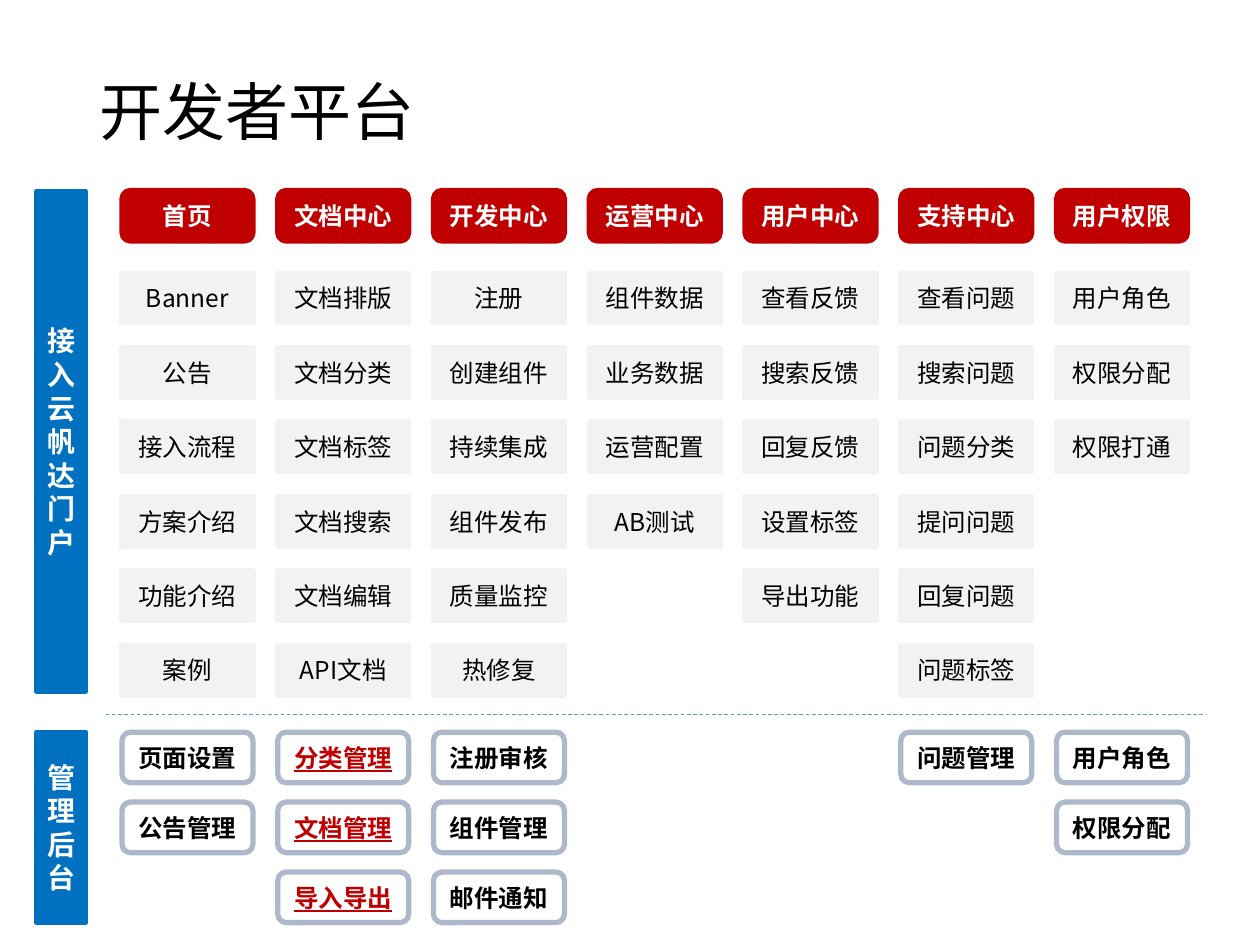
from lxml.etree import SubElement
from pptx import Presentation
from pptx.dml.color import RGBColor
from pptx.enum.dml import MSO_LINE
from pptx.enum.shapes import MSO_CONNECTOR, MSO_SHAPE
from pptx.enum.text import MSO_ANCHOR, PP_ALIGN
from pptx.oxml.ns import qn
from pptx.util import Cm, Pt

COLORS = {
    "red": "C00000",
    "blue": "0070C0",
    "gray": "F2F2F2",
    "border": "ADB9CA",
    "divider": "5B9BD5",
    "white": "FFFFFF",
    "black": "000000",
}
FONT = "Noto Sans CJK SC"
LEFT, PITCH, WIDTH = 2.46, 3.14, 2.64
FEATURE_TOP, FEATURE_PITCH = 5.51, 1.5
ADMIN_TOP, ADMIN_PITCH = 14.76, 1.41

MODULES = [
    ("首页", ["Banner", "公告", "接入流程", "方案介绍", "功能介绍", "案例"],
     ["页面设置", "公告管理"]),
    ("文档中心", ["文档排版", "文档分类", "文档标签", "文档搜索", "文档编辑", "API文档"],
     ["分类管理", "文档管理", "导入导出"]),
    ("开发中心", ["注册", "创建组件", "持续集成", "组件发布", "质量监控", "热修复"],
     ["注册审核", "组件管理", "邮件通知"]),
    ("运营中心", ["组件数据", "业务数据", "运营配置", "AB测试"], []),
    ("用户中心", ["查看反馈", "搜索反馈", "回复反馈", "设置标签", "导出功能"], []),
    ("支持中心", ["查看问题", "搜索问题", "问题分类", "提问问题", "回复问题", "问题标签"],
     ["问题管理"]),
    ("用户权限", ["用户角色", "权限分配", "权限打通"], ["用户角色", "权限分配"]),
]
HIGHLIGHTED = "文档中心"


def rgb(name):
    """Return the named palette colour."""
    return RGBColor.from_string(COLORS[name])


class Board:
    """Draw the platform map in one style on the current slide."""

    def __init__(self, slide):
        """Keep the slide to draw on."""
        self.s = slide

    def label(self, tf, lines, size, color="black", bold=False, underline=None,
              align=PP_ALIGN.CENTER, font=FONT):
        """Fill a text frame with one paragraph per line."""
        tf.word_wrap = True
        tf.vertical_anchor = MSO_ANCHOR.MIDDLE
        for i, text in enumerate(lines):
            p = tf.add_paragraph() if i else tf.paragraphs[0]
            p.alignment = align
            p.add_run().text = text
            p.font.name = font
            p.font.size = Pt(size)
            p.font.bold = bold
            p.font.underline = underline
            p.font.color.rgb = rgb(color)
            props = p._p.pPr.find(qn("a:defRPr"))
            SubElement(props, qn("a:ea"), typeface=FONT)

    def title(self, text):
        """Add the slide title."""
        sp = self.s.shapes.add_textbox(Cm(1.75), Cm(1.24), Cm(21.34), Cm(2.18))
        self.label(sp.text_frame, [text], 36, align=PP_ALIGN.LEFT, font="Calibri")
        sp.text_frame.paragraphs[0].line_spacing = 0.9

    def box(self, kind, x, y, w, h, fill, line):
        """Add a filled and outlined shape."""
        sp = self.s.shapes.add_shape(kind, Cm(x), Cm(y), Cm(w), Cm(h))
        sp.shadow.inherit = False
        sp.fill.solid()
        sp.fill.fore_color.rgb = rgb(fill)
        sp.line.color.rgb = rgb(line)
        sp.line.width = Pt(3)
        return sp

    def sidebar(self, y, h, lines):
        """Add a blue side label that wraps one character per line."""
        sp = self.box(MSO_SHAPE.RECTANGLE, 0.74, y, 0.99, h, "blue", "blue")
        tf = sp.text_frame
        tf.margin_left = tf.margin_right = Cm(0.13)
        self.label(tf, lines, 16, "white", bold=True)

    def header(self, x, text):
        """Add a red module heading."""
        sp = self.box(MSO_SHAPE.ROUNDED_RECTANGLE, x, 3.84, WIDTH, 1.02, "red", "red")
        self.label(sp.text_frame, [text], 14, "white", bold=True)

    def feature(self, x, y, text):
        """Add a gray portal feature."""
        sp = self.box(MSO_SHAPE.RECTANGLE, x, y, WIDTH, 1, "gray", "gray")
        self.label(sp.text_frame, [text], 14)

    def admin(self, x, y, text, highlighted):
        """Add an outlined back-office function."""
        sp = self.box(MSO_SHAPE.ROUNDED_RECTANGLE, x, y, WIDTH, 1.02, "white", "border")
        color = "red" if highlighted else "black"
        self.label(sp.text_frame, [text], 14, color, bold=True,
                   underline=highlighted or None)

    def divider(self, x1, x2, y):
        """Add a dashed horizontal line."""
        ln = self.s.shapes.add_connector(
            MSO_CONNECTOR.STRAIGHT, Cm(x1), Cm(y), Cm(x2), Cm(y))
        ln.line.color.rgb = rgb("divider")
        ln.line.width = Pt(0.5)
        ln.line.dash_style = MSO_LINE.DASH
        SubElement(ln._element.spPr, qn("a:effectLst"))


def main():
    """Build and save the slide."""
    prs = Presentation()
    prs.slide_width, prs.slide_height = Cm(25.4), Cm(19.05)
    board = Board(prs.slides.add_slide(prs.slide_layouts[6]))
    board.title("开发者平台")
    board.sidebar(3.86, 10.08, ["接入", "云帆达", "门", "户"])
    board.sidebar(ADMIN_TOP, 3.84, ["管理后台"])
    for col, (name, features, admins) in enumerate(MODULES):
        x = LEFT + col * PITCH
        board.header(x, name)
        for row, text in enumerate(features):
            board.feature(x, FEATURE_TOP + row * FEATURE_PITCH, text)
        for row, text in enumerate(admins):
            board.admin(x, ADMIN_TOP + row * ADMIN_PITCH, text, name == HIGHLIGHTED)
    board.divider(2.13, 24.33, 14.4)
    prs.save("out.pptx")


if __name__ == "__main__":
    main()
